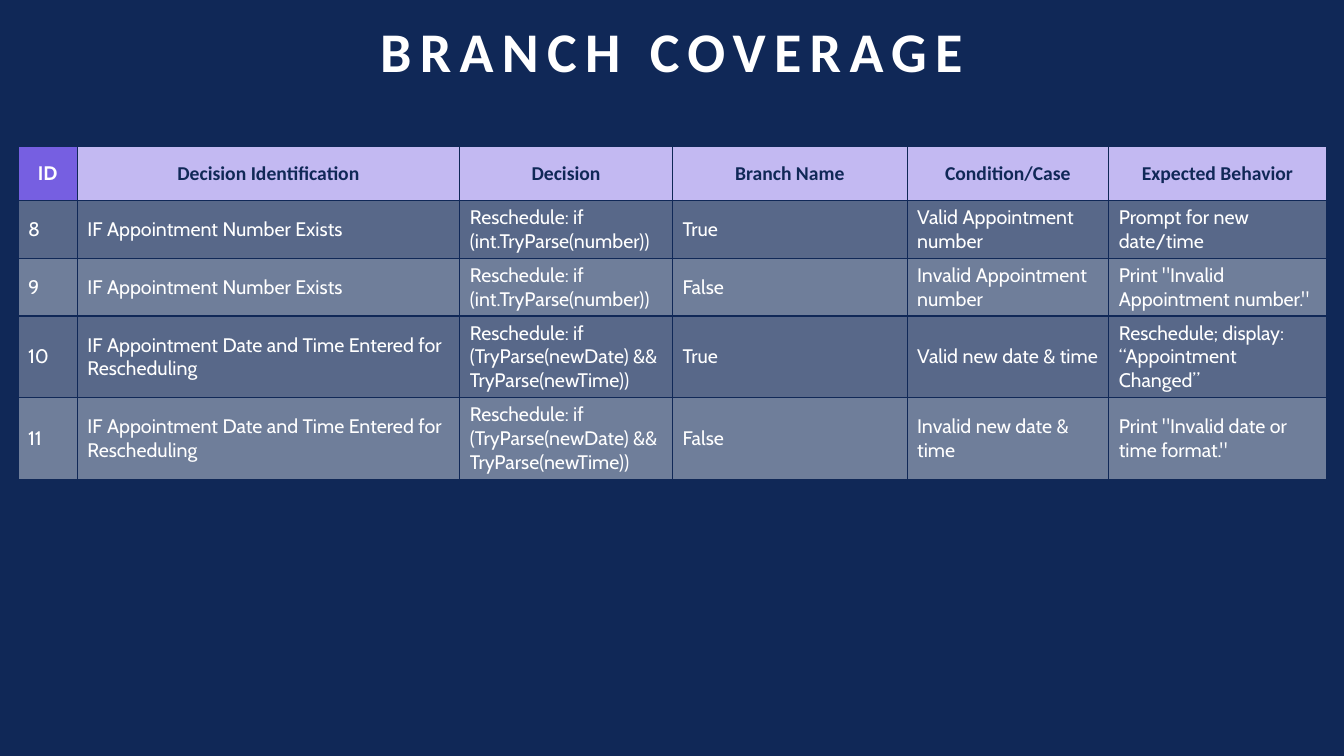
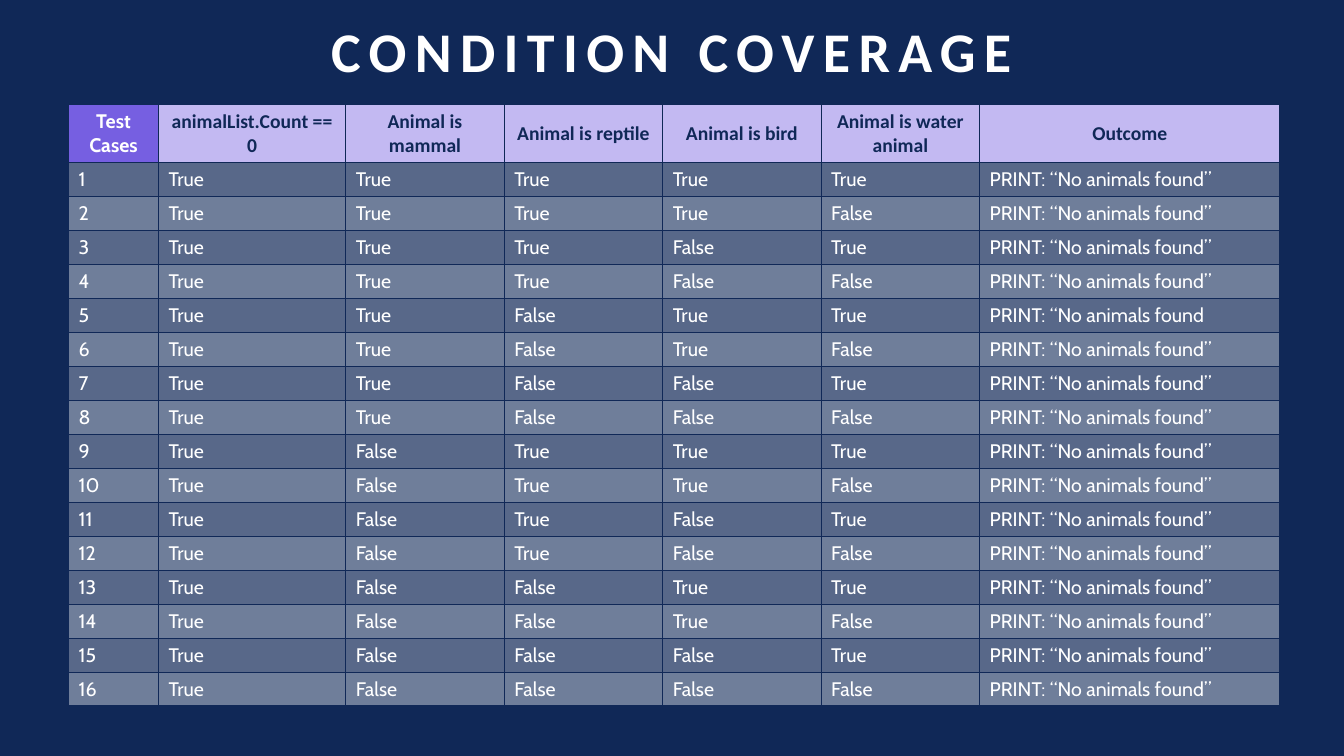
"""Build two test-coverage slides, each with a title and a table."""
from itertools import product

from pptx import Presentation
from pptx.dml.color import RGBColor
from pptx.enum.text import MSO_ANCHOR, MSO_AUTO_SIZE, PP_ALIGN
from pptx.oxml.ns import qn
from pptx.util import Pt
from lxml.etree import SubElement

NAVY, WHITE, VIOLET, LILAC = "102857", "FFFFFF", "765FE1", "C3B9F2"
TITLE_BOX = {"left": Pt(130.3), "top": Pt(15.8), "width": Pt(699), "height": Pt(48.2)}
TITLE_FONT = {"name": "Calibri", "size": Pt(40), "bold": True}
CORNER_FONT = {"name": "Cabin", "size": Pt(14), "bold": True}
HEADER_FONT = {"name": "Calibri", "size": Pt(14), "bold": True}
BODY_FONT = {"name": "Cabin", "size": Pt(14), "bold": False}
BAND_OPACITIES = (30, 40)

BRANCH_HEADERS = ("ID", "Decision Identification", "Decision", "Branch Name",
                  "Condition/Case", "Expected Behavior")
NUMBER_EXISTS = ("IF Appointment Number Exists", "Reschedule: if (int.TryParse(number))")
DATE_ENTERED = ("IF Appointment Date and Time Entered for Rescheduling",
                "Reschedule: if (TryParse(newDate) && TryParse(newTime))")
BRANCH_ROWS = (
    ("8", *NUMBER_EXISTS, "True", "Valid Appointment number", "Prompt for new date/time"),
    ("9", *NUMBER_EXISTS, "False", "Invalid Appointment number",
     'Print "Invalid Appointment number."'),
    ("10", *DATE_ENTERED, "True", "Valid new date & time",
     "Reschedule; display: “Appointment Changed”"),
    ("11", *DATE_ENTERED, "False", "Invalid new date & time",
     'Print "Invalid date or time format."'),
)
CONDITION_HEADERS = ("Test Cases", "animalList.Count == 0", "Animal is mammal",
                     "Animal is reptile", "Animal is bird", "Animal is water animal",
                     "Outcome")
OUTCOME = "PRINT: “No animals found”"
UNCLOSED_OUTCOME = "PRINT: “No animals found"
UNCLOSED_CASE = 5


def color(hex_value):
    """Turn a hex string into a colour."""
    return RGBColor.from_string(hex_value)


def apply_format(target, values):
    """Set each attribute named in a dict of format values."""
    for name, value in values.items():
        setattr(target, name, value)


def fill_solid(fill, hex_value, opacity=100):
    """Fill with one colour at an opacity in percent."""
    fill.solid()
    fill.fore_color.rgb = color(hex_value)
    if opacity < 100:
        color_element = fill._xPr.find(qn("a:solidFill"))[0]
        SubElement(color_element, qn("a:alpha"), val=str(opacity * 1000))


def add_borders(cell):
    """Draw a thin navy line on all four sides of a cell."""
    properties = cell._tc.get_or_add_tcPr()
    for side in ("L", "R", "T", "B"):
        line = SubElement(properties, qn(f"a:ln{side}"), w=str(Pt(1)))
        line_fill = SubElement(line, qn("a:solidFill"))
        SubElement(line_fill, qn("a:srgbClr"), val=NAVY)


def format_cell(cell, text, font, text_color, fill_color, opacity=100, alignment=PP_ALIGN.LEFT):
    """Write and style one table cell."""
    cell.text = text
    cell.vertical_anchor = MSO_ANCHOR.MIDDLE
    paragraph = cell.text_frame.paragraphs[0]
    paragraph.alignment = alignment
    run_font = paragraph.runs[0].font
    apply_format(run_font, font)
    run_font.color.rgb = color(text_color)
    add_borders(cell)
    fill_solid(cell.fill, fill_color, opacity)


def add_titled_slide(presentation, title):
    """Add a slide with the shared title style."""
    slide = presentation.slides.add_slide(presentation.slide_layouts[5])
    shape = slide.shapes.title
    apply_format(shape, TITLE_BOX)
    shape.text = title
    apply_format(shape.text_frame, {"vertical_anchor": MSO_ANCHOR.BOTTOM, "word_wrap": True,
                                    "auto_size": MSO_AUTO_SIZE.NONE})
    paragraph = shape.text_frame.paragraphs[0]
    apply_format(paragraph, {"alignment": PP_ALIGN.CENTER, "line_spacing": 0.9})
    run = paragraph.runs[0]
    apply_format(run.font, TITLE_FONT)
    run.font.color.rgb = color(WHITE)
    run._r.get_or_add_rPr().set("spc", "600")
    return slide


def add_coverage_table(slide, position, widths, header_height, row_height, headers, rows):
    """Add a table with a lilac header and two alternating row tints."""
    left, top = position
    height = header_height + row_height * len(rows)
    frame = slide.shapes.add_table(len(rows) + 1, len(headers), Pt(left), Pt(top),
                                   Pt(sum(widths)), Pt(height))
    table = frame.table
    apply_format(table, {"first_row": False, "horz_banding": False})
    for column, width in zip(table.columns, widths):
        column.width = Pt(width)
    for index, row in enumerate(table.rows):
        row.height = Pt(row_height if index else header_height)
    for index, text in enumerate(headers):
        style = (HEADER_FONT, NAVY, LILAC) if index else (CORNER_FONT, WHITE, VIOLET)
        format_cell(table.cell(0, index), text, *style, alignment=PP_ALIGN.CENTER)
    for row_index, texts in enumerate(rows):
        opacity = BAND_OPACITIES[row_index % 2]
        for index, text in enumerate(texts):
            format_cell(table.cell(row_index + 1, index), text, BODY_FONT, WHITE, WHITE, opacity)


def condition_rows():
    """List every combination of the four animal conditions."""
    combinations = product(("True", "False"), repeat=4)
    return [(str(case), "True", *values,
             UNCLOSED_OUTCOME if case == UNCLOSED_CASE else OUTCOME)
            for case, values in enumerate(combinations, start=1)]


def main():
    """Build and save the presentation."""
    presentation = Presentation()
    apply_format(presentation, {"slide_width": Pt(960), "slide_height": Pt(540)})
    fill_solid(presentation.slide_master.background.fill, NAVY)

    branch_slide = add_titled_slide(presentation, "BRANCH COVERAGE")
    add_coverage_table(branch_slide, (12.8, 104.6), (42.4, 273.2, 152, 167.6, 144, 155.4),
                       38.6, 38.6, BRANCH_HEADERS, BRANCH_ROWS)

    condition_slide = add_titled_slide(presentation, "CONDITION COVERAGE")
    add_coverage_table(condition_slide, (49, 74.8), (64.2, 133.8, *[113.2] * 4, 214.6),
                       34.6, 24.2, CONDITION_HEADERS, condition_rows())
    presentation.save("out.pptx")


if __name__ == "__main__":
    main()
